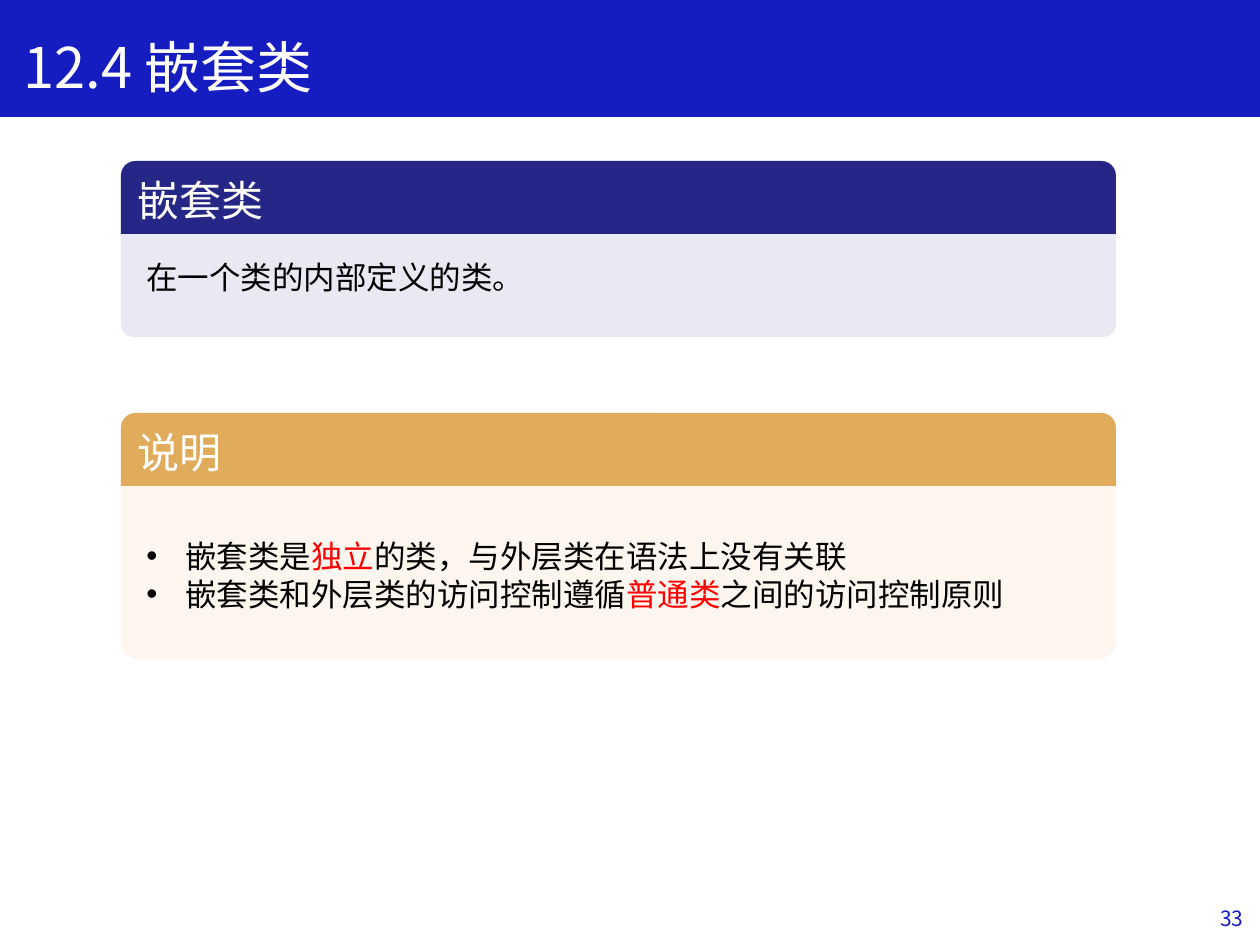
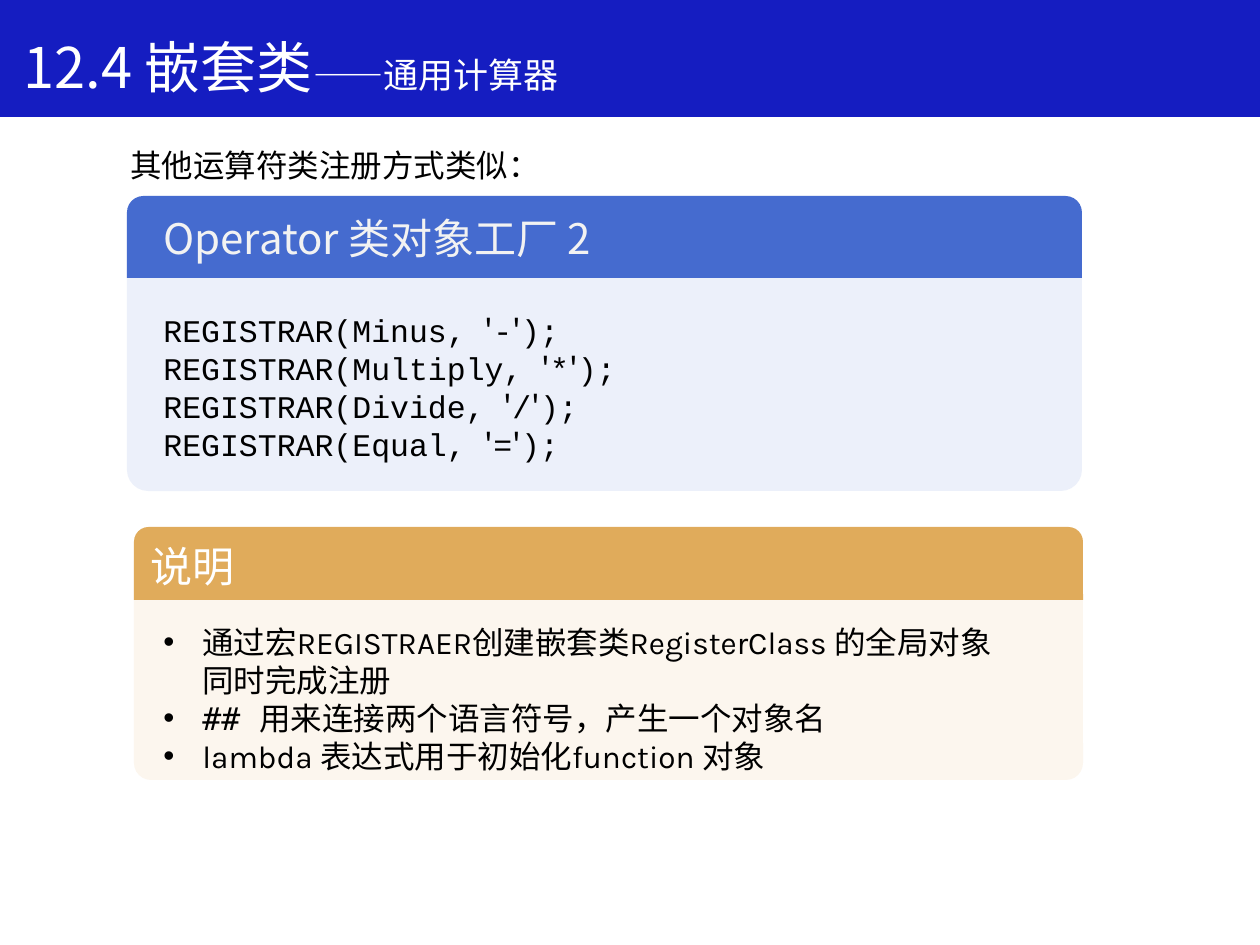
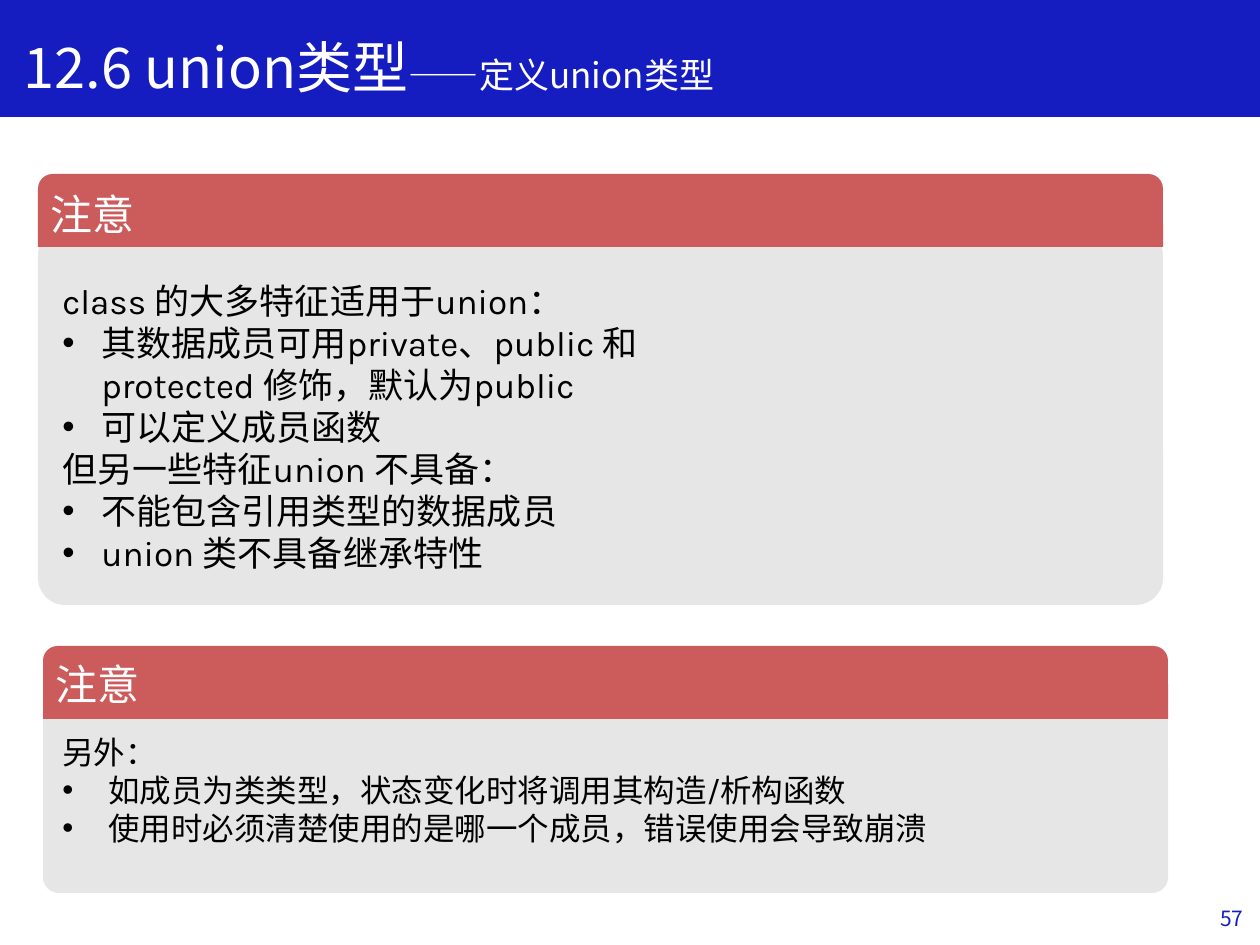
from dataclasses import dataclass

from lxml.etree import SubElement
from pptx import Presentation
from pptx.dml.color import RGBColor
from pptx.enum.shapes import MSO_SHAPE as Form
from pptx.enum.text import MSO_ANCHOR as Anchor, PP_ALIGN as Align
from pptx.oxml.ns import qn
from pptx.util import Pt

PX = 914400 / 126


@dataclass(frozen=True)
class Theme:
    blue: str = "151DC1"
    white: str = "FFFFFF"
    pale: str = "F2F2F2"
    black: str = "000000"
    red: str = "FF0000"
    sans: str = "Noto Sans CJK SC"
    karla: str = "Karla"
    code: str = "Courier New"
    mono: str = "DejaVu Sans Mono"
    title: int = 32
    head: int = 24
    sub: int = 20
    body: int = 18
    foot: int = 12


T = Theme()

# Panel kinds: head fill, body fill
PANELS = {
    "define": ("262686", "E9E9F3"),
    "note": ("E0AB5B", "FCF6EE"),
    "code": ("456BCF", "ECF0FA"),
    "warn": ("CC5C5C", "E6E6E6"),
}


def emu(*vals):
    return [round(v * PX) for v in vals]


def put(obj, **vals):
    for key, val in vals.items():
        setattr(obj, key, val)


# Run makers: text with the values that differ from the box
def kar(text):
    return text, {"font": T.karla}


def code(text):
    return text, {"font": T.code}


def red(text):
    return text, {"color": T.red}


def add_run(para, text, size, color=T.black, font=T.sans):
    run = para.add_run()
    run.text = text
    put(run.font, size=Pt(size), name=font)
    run.font.color.rgb = RGBColor.from_string(color)
    SubElement(run._r.get_or_add_rPr(), qn("a:ea"), typeface=T.sans)


def indent(para, left, bullet):
    props = para._p.get_or_add_pPr()
    (left,) = emu(left)
    props.set("marL", str(left))
    if bullet:
        props.set("indent", str(-left))
        SubElement(props, qn("a:buFont"), typeface="Arial")
        SubElement(props, qn("a:buChar"), char="•")


def fill_para(para, runs, size, color):
    for run in runs:
        text, vals = (run, {}) if isinstance(run, str) else run
        add_run(para, text, **{"size": size, "color": color, **vals})


def add_text(shapes, box, paras, size=T.body, color=T.black, left=39):
    """Each paragraph is a list of runs; a tuple of runs is a bullet."""
    x, y, w, h = box
    drop = round(size / 6)
    frame = shapes.add_textbox(*emu(x, y + drop, w, h)).text_frame
    frame.word_wrap = True
    for i, runs in enumerate(paras):
        para = frame.add_paragraph() if i else frame.paragraphs[0]
        para.line_spacing = Pt(size * 1.2)
        if isinstance(runs, tuple):
            indent(para, left, True)
        fill_para(para, runs, size, color)
    return frame


def add_form(shapes, form, box, color, adjust=()):
    shape = shapes.add_shape(form, *emu(*box))
    shape.shadow.inherit = False
    shape.fill.solid()
    shape.fill.fore_color.rgb = RGBColor.from_string(color)
    shape.line.fill.background()
    for i, val in enumerate(adjust):
        shape.adjustments[i] = val
    return shape


def add_panel(slide, box, kind, label, top=73, body=0, tag=None, tint=T.white):
    """Head strip over a body that starts `body` px down; tag is a label box."""
    x, y, w, h = box
    dark, light = PANELS[kind]
    shapes = slide.shapes.add_group_shape().shapes
    add_form(shapes, Form.ROUNDED_RECTANGLE, (x, y + body, w, h - body),
             light, [0.072])
    head = add_form(shapes, Form.ROUND_2_SAME_RECTANGLE, (x, y, w, top),
                    dark, [0.2, 0])
    if tag:
        dx, dy, tw, th = tag
        add_text(shapes, (x + dx, y + dy, tw, th), [[label]], T.head, tint)
    else:
        put(head.text_frame, vertical_anchor=Anchor.MIDDLE, word_wrap=True)
        para = head.text_frame.paragraphs[0]
        para.alignment = Align.LEFT
        fill_para(para, [label], T.head, tint)


def add_page(deck, title, sub="", num=""):
    slide = deck.slides.add_slide(deck.slide_layouts[6])
    # Title band
    band = add_form(slide.shapes, Form.RECTANGLE, (0, 0, 1260, 116), T.blue)
    band.line.color.rgb = RGBColor.from_string(T.blue)
    band.line.width = Pt(1)
    runs = [title] + ([(sub, {"size": T.sub})] if sub else [])
    add_text(slide.shapes, (11, 21, 979 if sub else 794, 81), [runs],
             T.title, T.white)
    # Page number
    if num:
        frame = slide.shapes.add_textbox(*emu(973, 893, 283, 50)).text_frame
        put(frame, word_wrap=True, vertical_anchor=Anchor.MIDDLE)
        para = frame.paragraphs[0]
        para.alignment = Align.RIGHT
        fill_para(para, [num], T.foot, T.blue)
    return slide


def nested(deck):
    slide = add_page(deck, "12.4 嵌套类", num="33")
    add_panel(slide, (121, 161, 995, 176), "define", "嵌套类")
    add_text(slide.shapes, (134, 249, 420, 50), [["在一个类的内部定义的类。"]])
    add_panel(slide, (121, 413, 995, 246), "note", "说明")
    add_text(slide.shapes, (134, 528, 912, 89), [
        ("嵌套类是", red("独立"), "的类，与外层类在语法上没有关联"),
        ("嵌套类和外层类的访问控制遵循", red("普通类"), "之间的访问控制原则"),
    ])


def factory(deck):
    slide = add_page(deck, "12.4 嵌套类", "——通用计算器")
    lead = add_text(slide.shapes, (55, 137, 1095, 50),
                    [["其他运算符类注册方式类似："]])
    indent(lead.paragraphs[0], 63, False)

    # Registration code
    add_panel(slide, (127, 196, 955, 295), "code", "Operator 类对象工厂 2",
              top=82, tag=(24, 6, 713, 52), tint=T.pale)
    signs = {"Minus": "-", "Multiply": "*", "Divide": "/", "Equal": "="}
    add_text(slide.shapes, (151, 302, 630, 165), [
        [code(f"REGISTRAR({name}, "), "'", code(sign), "'", code(");")]
        for name, sign in signs.items()
    ])

    # Explanation
    add_panel(slide, (134, 527, 949, 253), "note", "说明", body=17)
    add_text(slide.shapes, (151, 614, 877, 165), [
        ("通过宏", kar("REGISTRAER"), "创建嵌套类", kar("RegisterClass "),
         "的全局对象同时完成注册"),
        (("## ", {"font": T.mono}), "用来连接两个语言符号，产生一个对象名"),
        (kar("lambda "), "表达式用于初始化", kar("function "), "对象"),
    ])


def union(deck):
    slide = add_page(deck, "12.6 union类型", "——定义union类型", "57")
    add_panel(slide, (38, 174, 1125, 431), "warn", "注意", body=54,
              tag=(0, 4, 769, 58))
    add_text(slide.shapes, (50, 270, 630, 310), [
        [kar("class "), "的大多特征适用于", kar("union"), "："],
        ("其数据成员可用", kar("private"), "、", kar("public "), "和",
         kar("protected "), "修饰，默认为", kar("public")),
        ("可以定义成员函数",),
        ["但另一些特征", kar("union "), "不具备："],
        ("不能包含引用类型的数据成员",),
        (kar("union "), "类不具备继承特性"),
    ], T.sub)

    add_panel(slide, (43, 646, 1125, 247), "warn", "注意", body=31,
              tag=(0, 2, 769, 34))
    add_text(slide.shapes, (50, 724, 1061, 127), [
        ["另外："],
        ("如成员为类类型，状态变化时将调用其构造", kar("/"), "析构函数"),
        ("使用时必须清楚使用的是哪一个成员，错误使用会导致崩溃",),
    ], left=46)


def main():
    deck = Presentation()
    width, height = emu(1260, 945)
    put(deck, slide_width=width, slide_height=height)
    for build in (nested, factory, union):
        build(deck)
    deck.save("out.pptx")


if __name__ == "__main__":
    main()
